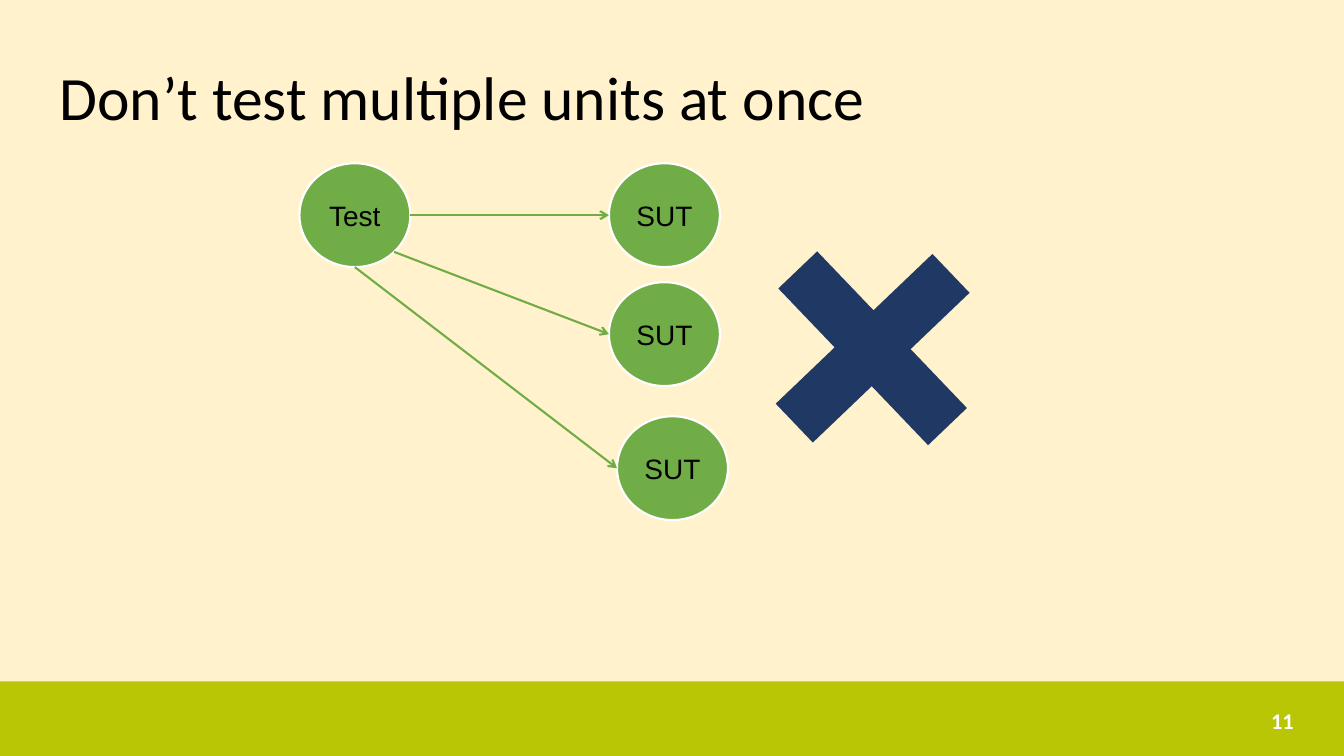
"""Builds a slide that warns against testing several units at once."""
from dataclasses import dataclass
from math import cos, pi, sin

from lxml.etree import SubElement
from pptx import Presentation
from pptx.dml.color import RGBColor
from pptx.enum.shapes import MSO_CONNECTOR as Connector, MSO_SHAPE as Shape
from pptx.enum.text import MSO_ANCHOR as Anchor, PP_ALIGN as Align
from pptx.oxml.ns import qn
from pptx.util import Inches, Pt


@dataclass(frozen=True)
class Theme:
    background: str = "FFF2CC"
    band: str = "B8C605"
    node: str = "70AD47"
    cross: str = "203864"
    dark: str = "000000"
    light: str = "FFFFFF"
    heading_font: str = "Calibri"
    node_font: str = "Arial"
    title_size: int = 44
    node_size: int = 20
    number_size: int = 16
    line_width: float = 1.5


class SlideBuilder:
    node_width, node_height = 1.1, 1.03

    def __init__(self, page, theme):
        self.page, self.theme = page, theme
        fill = page.background.fill
        fill.solid()
        fill.fore_color.rgb = RGBColor.from_string(theme.background)

    def set_text(self, box, text, font, size, color, align, bold=False):
        frame = box.text_frame
        frame.text = text
        frame.word_wrap = True
        frame.vertical_anchor = Anchor.MIDDLE
        para = frame.paragraphs[0]
        para.alignment = align
        span = para.runs[0].font
        span.name, span.size, span.bold = font, Pt(size), bold
        span.color.rgb = RGBColor.from_string(color)
        return para

    def title(self, text, left, top, width, height):
        box = self.page.shapes.title
        box.left, box.top = Inches(left), Inches(top)
        box.width, box.height = Inches(width), Inches(height)
        para = self.set_text(box, text, self.theme.heading_font,
                             self.theme.title_size, self.theme.dark, Align.LEFT)
        para.line_spacing = 0.9

    def shape(self, kind, left, top, width, height, color, outline=None):
        box = self.page.shapes.add_shape(
            kind, Inches(left), Inches(top), Inches(width), Inches(height))
        box.shadow.inherit = False
        box.fill.solid()
        box.fill.fore_color.rgb = RGBColor.from_string(color)
        if outline:
            box.line.color.rgb = RGBColor.from_string(outline)
            box.line.width = Pt(self.theme.line_width)
        else:
            box.line.fill.background()
        return box

    def node(self, text, left, top):
        box = self.shape(Shape.OVAL, left, top, self.node_width,
                         self.node_height, self.theme.node, self.theme.light)
        box.text_frame.margin_left = box.text_frame.margin_right = 0
        self.set_text(box, text, self.theme.node_font, self.theme.node_size,
                      self.theme.dark, Align.CENTER)

    def rim(self, left, top, angle):
        return (left + self.node_width / 2 * (1 + cos(angle)),
                top + self.node_height / 2 * (1 + sin(angle)))

    def arrow(self, start, end):
        arrow = self.page.shapes.add_connector(
            Connector.STRAIGHT, *(Inches(value) for value in (*start, *end)))
        arrow.line.color.rgb = RGBColor.from_string(self.theme.node)
        arrow.line.width = Pt(self.theme.line_width)
        properties = arrow._element.spPr
        SubElement(properties.get_or_add_ln(), qn("a:tailEnd"), type="arrow")
        SubElement(properties, qn("a:effectLst"))

    def number(self, text, left, top, width, height):
        box = self.page.shapes.add_textbox(
            Inches(left), Inches(top), Inches(width), Inches(height))
        self.set_text(box, text, self.theme.heading_font, self.theme.number_size,
                      self.theme.light, Align.RIGHT, bold=True)


def main():
    deck = Presentation()
    deck.slide_width, deck.slide_height = Inches(13.33), Inches(7.5)
    theme = Theme()
    builder = SlideBuilder(deck.slides.add_slide(deck.slide_layouts[5]), theme)

    builder.shape(Shape.RECTANGLE, 0, 6.76, 13.33, 0.74, theme.band)
    builder.title("Don’t test multiple units at once", 0.49, 0.27, 12.43, 1.45)

    test = (2.97, 1.62)
    units = [((6.04, 1.62), 0), ((6.04, 2.8), pi / 4), ((6.12, 4.13), pi / 2)]
    builder.node("Test", *test)
    for unit, angle in units:
        builder.node("SUT", *unit)
        builder.arrow(builder.rim(*test, angle), builder.rim(*unit, pi))

    cross = builder.shape(Shape.CROSS, 7.58, 2.38, 2.15, 2.15, theme.cross)
    cross.adjustments[0] = 0.376
    cross.rotation = 316.3
    builder.number("11", 9.42, 6.95, 3.51, 0.4)
    deck.save("out.pptx")


if __name__ == "__main__":
    main()
